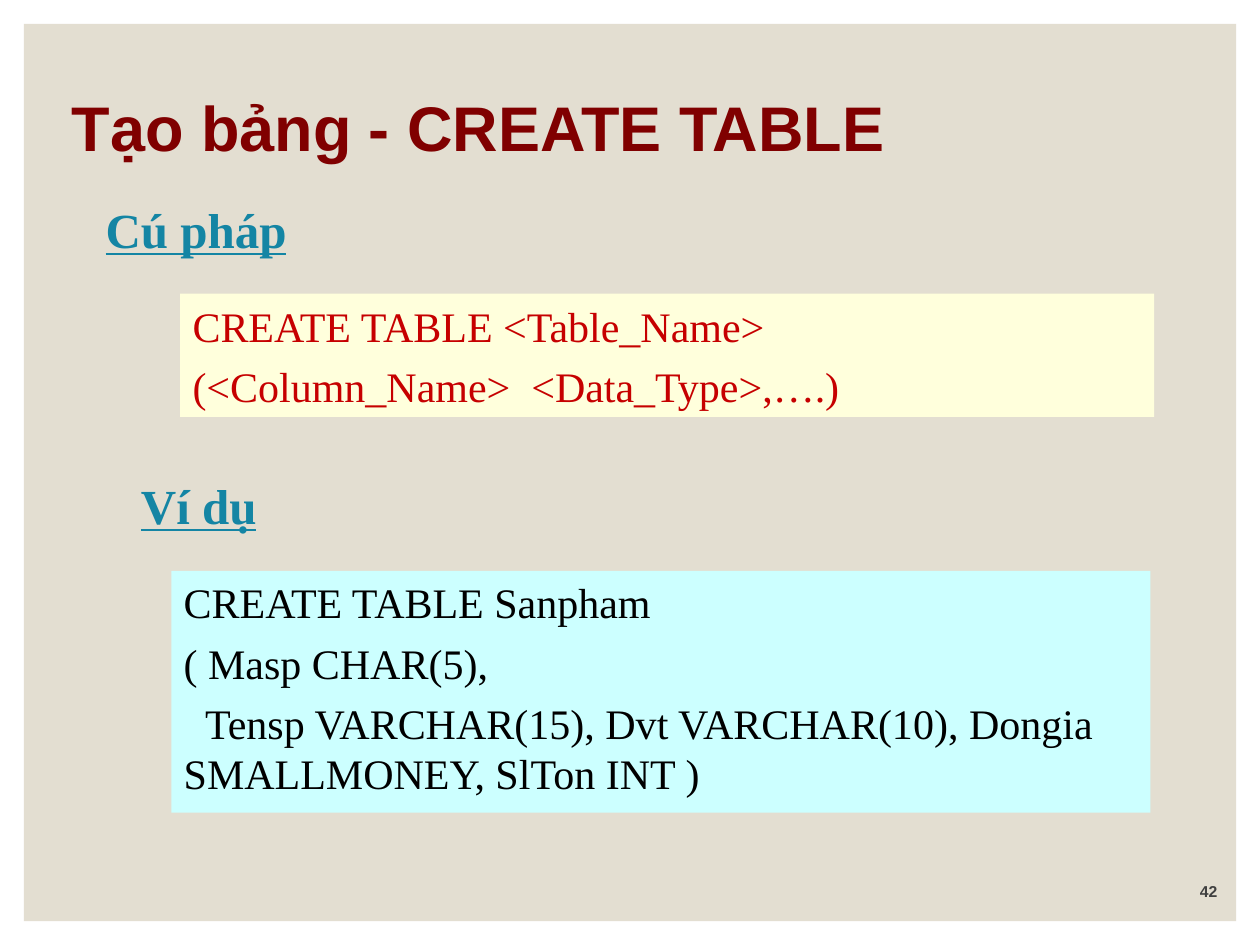
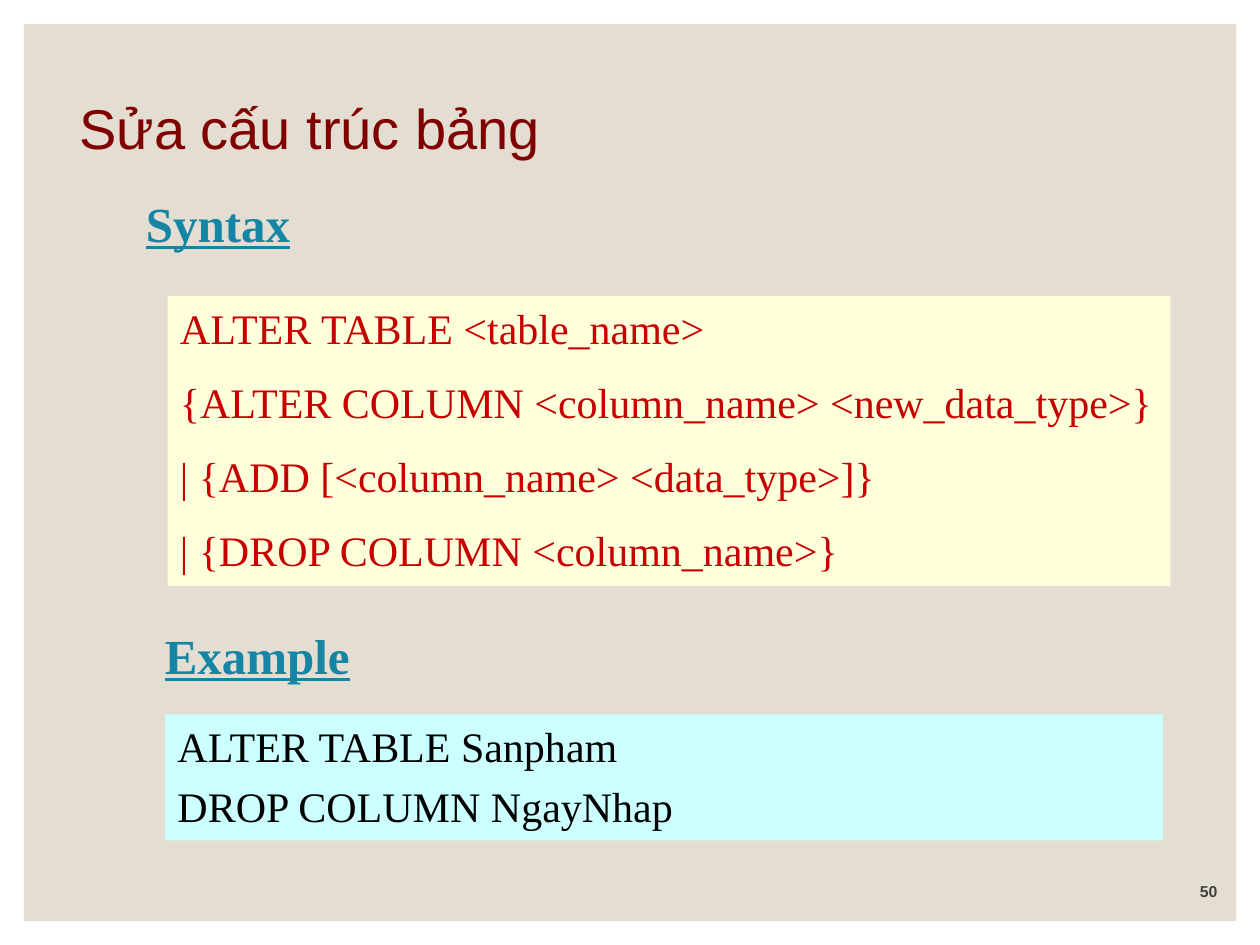
from pptx import Presentation
from pptx.dml.color import RGBColor
from pptx.enum.shapes import MSO_SHAPE
from pptx.enum.text import MSO_ANCHOR, PP_ALIGN
from pptx.util import Inches, Pt

RECT = MSO_SHAPE.RECTANGLE
TOP, BOTTOM = MSO_ANCHOR.TOP, MSO_ANCHOR.BOTTOM
LEFT, RIGHT = PP_ALIGN.LEFT, PP_ALIGN.RIGHT

SANS, SERIF = "Arial", "Times New Roman"
BAND = "E3DED1"
BAND_AT = (0.19, 0.19, 9.62, 7.12)
NUMBER_AT = (8.56, 6.9, 1.2, 0.3)
TITLE = dict(name=SANS, color="800000")
HEADING = dict(name=SERIF, size=28, bold=True, underline=True, color="1485A4")
NUMBER = dict(name=SANS, size=9, bold=True, color="404040")
SYNTAX = dict(name=SERIF, size=24, color="C60000")
EXAMPLE = dict(name=SERIF, size=24, color="000000")
SYNTAX_FILL, EXAMPLE_FILL = "FFFFDC", "CCFFFF"
TIGHT, WIDE = 5.5, 13.5

SLIDES = [
    dict(
        title="Tạo bảng - CREATE TABLE",
        title_at=(0.47, 0.58, 8.52, 0.77),
        title_font=dict(size=36, bold=True),
        title_spacing=1.0,
        number="42",
        headings=[
            ("Cú pháp", (0.74, 1.53, 1.74, 0.57)),
            ("Ví dụ", (1.02, 3.72, 1.15, 0.57)),
        ],
        boxes=[
            dict(at=(1.43, 2.33, 7.73, 0.98), fill=SYNTAX_FILL, font=SYNTAX,
                 anchor=BOTTOM, gap=TIGHT,
                 lines=["CREATE TABLE <Table_Name>",
                        "(<Column_Name>  <Data_Type>,….)"]),
            dict(at=(1.36, 4.53, 7.77, 1.92), fill=EXAMPLE_FILL, font=EXAMPLE,
                 anchor=TOP, gap=TIGHT, indents={2: 0.17},
                 lines=["CREATE TABLE Sanpham",
                        "( Masp CHAR(5),",
                        "Tensp VARCHAR(15), Dvt VARCHAR(10), "
                        "Dongia SMALLMONEY, SlTon INT )"]),
        ],
    ),
    dict(
        title="Sửa cấu trúc bảng",
        title_at=(0.53, 0.63, 8.52, 0.7),
        title_font=dict(size=32, bold=False),
        title_spacing=0.9,
        number="50",
        headings=[
            ("Syntax", (1.06, 1.48, 2.75, 0.57)),
            ("Example", (1.21, 4.91, 1.67, 0.57)),
        ],
        boxes=[
            dict(at=(1.33, 2.35, 7.96, 2.3), fill=SYNTAX_FILL, font=SYNTAX,
                 anchor=TOP, gap=WIDE,
                 lines=["ALTER TABLE <table_name>",
                        "{ALTER COLUMN <column_name> <new_data_type>}",
                        "| {ADD [<column_name> <data_type>]}",
                        "| {DROP COLUMN <column_name>}"]),
            dict(at=(1.31, 5.67, 7.92, 1), fill=EXAMPLE_FILL, font=EXAMPLE,
                 anchor=TOP, gap=TIGHT,
                 lines=["ALTER TABLE Sanpham", "DROP COLUMN NgayNhap"]),
        ],
    ),
]


def rgb(color):
    return RGBColor.from_string(color)


def place(sp, at):
    for name, value in zip(("left", "top", "width", "height"), at):
        setattr(sp, name, Inches(value))


def set_font(font, style):
    for name, value in style.items():
        if name == "color":
            font.color.rgb = rgb(value)
        else:
            setattr(font, name, Pt(value) if name == "size" else value)


def write(sp, lines, style, anchor=BOTTOM, align=LEFT, gap=0, spacing=1.0, indents=None):
    tf = sp.text_frame
    tf.word_wrap = True
    tf.vertical_anchor = anchor
    for i, line in enumerate(lines):
        p = tf.add_paragraph() if i else tf.paragraphs[0]
        p.alignment = align
        p.line_spacing = spacing
        p.space_before = Pt(gap if i else 0)
        if indents and i in indents:
            p._p.get_or_add_pPr().set("indent", str(Inches(indents[i])))
        r = p.add_run()
        r.text = line
        set_font(r.font, style)


def add_rect(s, at, fill):
    sp = s.shapes.add_shape(RECT, *map(Inches, at))
    sp.shadow.inherit = False
    sp.fill.solid()
    sp.fill.fore_color.rgb = rgb(fill)
    sp.line.fill.background()
    return sp


def add_text(s, text, at, style, align=LEFT):
    write(s.shapes.add_textbox(*map(Inches, at)), [text], style, align=align)


def build_slide(prs, data):
    s = prs.slides.add_slide(prs.slide_layouts[5])
    place(s.shapes.title, data["title_at"])
    write(s.shapes.title, [data["title"]], {**TITLE, **data["title_font"]},
          spacing=data["title_spacing"])
    for box in data["boxes"]:
        sp = add_rect(s, box["at"], box["fill"])
        write(sp, box["lines"], box["font"], box["anchor"], gap=box["gap"],
              indents=box.get("indents"))
    for text, at in data["headings"]:
        add_text(s, text, at, HEADING)
    add_text(s, data["number"], NUMBER_AT, NUMBER, RIGHT)
    return s


def main():
    prs = Presentation()
    prs.slide_width, prs.slide_height = Inches(10), Inches(7.5)
    slides = [build_slide(prs, data) for data in SLIDES]
    band = add_rect(slides[0], BAND_AT, BAND)
    prs.slide_master.shapes.element.insert(2, band.element)
    prs.save("out.pptx")


if __name__ == "__main__":
    main()
